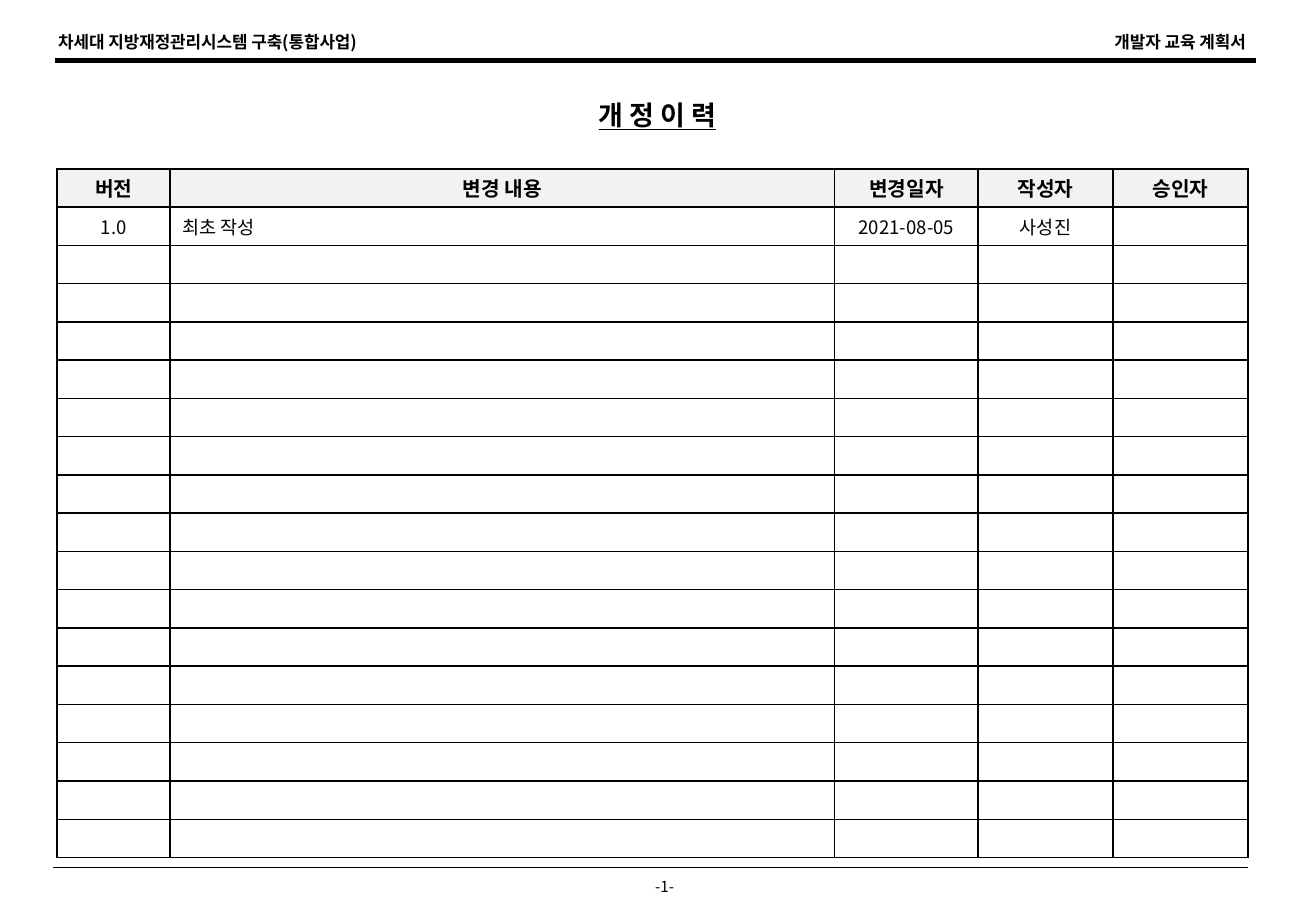
from lxml import etree
from pptx import Presentation
from pptx.dml.color import RGBColor
from pptx.enum.shapes import MSO_CONNECTOR
from pptx.enum.text import MSO_ANCHOR, MSO_AUTO_SIZE, PP_ALIGN
from pptx.oxml.ns import qn
from pptx.util import Inches, Pt

LEFT, CENTER, RIGHT = PP_ALIGN.LEFT, PP_ALIGN.CENTER, PP_ALIGN.RIGHT
MIDDLE = MSO_ANCHOR.MIDDLE
FONT = "Noto Sans CJK KR"
COLORS = {"ink": "000000", "header": "F2F2F2"}


def write(frame, text, size, align=CENTER, bold=False, underline=False):
    frame.text = text
    paragraph = frame.paragraphs[0]
    paragraph.alignment = align
    for run in paragraph.runs:
        font = run.font
        font.name, font.size = FONT, Pt(size)
        font.bold, font.underline = bold, underline
        font.color.rgb = RGBColor.from_string(COLORS["ink"])
        # Hangul takes the East Asian typeface
        east_asian = etree.SubElement(font._element, qn("a:ea"))
        east_asian.set("typeface", FONT)


def draw_border(cell, color, width):
    properties = cell._tc.get_or_add_tcPr()
    for position, side in enumerate(("a:lnL", "a:lnR", "a:lnT", "a:lnB")):
        line = etree.Element(qn(side), w=str(Pt(width)))
        fill = etree.SubElement(line, qn("a:solidFill"))
        etree.SubElement(fill, qn("a:srgbClr"), val=color)
        properties.insert(position, line)


prs = Presentation()
prs.slide_width, prs.slide_height = Inches(10.83), Inches(7.5)
slide = prs.slides.add_slide(prs.slide_layouts[5])

# Header and footer rules
for start, end, y, width in ((0.44, 10.27, 7.14, 0.75), (0.45, 10.34, 0.5, 2.75)):
    rule = slide.shapes.add_connector(
        MSO_CONNECTOR.STRAIGHT, Inches(start), Inches(y), Inches(end), Inches(y))
    rule.line.color.rgb = RGBColor.from_string(COLORS["ink"])
    rule.line.width = Pt(width)
    etree.SubElement(rule._element.spPr, qn("a:effectLst"))

# Running heads and page number
for text, left, top, width, height, size, align, bold in (
    ("차세대 지방재정관리시스템 구축(통합사업)", 0.38, 0.21, 2.93, 0.27, 10, LEFT, True),
    ("개발자 교육 계획서", 8.93, 0.21, 1.42, 0.27, 10, RIGHT, True),
    ("-1-", 5.24, 7.17, 0.46, 0.25, 9, CENTER, False),
):
    margin_text = slide.shapes.add_textbox(
        Inches(left), Inches(top), Inches(width), Inches(height))
    margin_text.text_frame.word_wrap = False
    write(margin_text.text_frame, text, size, align, bold)

# Title
title = slide.shapes.title
title.left, title.top = Inches(0.56), Inches(0.76)
title.width, title.height = Inches(9.7), Inches(0.37)
title.text_frame.auto_size = MSO_AUTO_SIZE.NONE
title.text_frame.vertical_anchor = MIDDLE
write(title.text_frame, "개 정 이 력", 16, bold=True, underline=True)

# Revision history
HEADINGS = ("버전", "변경 내용", "변경일자", "작성자", "승인자")
REVISIONS = [("1.0", "최초 작성", "2021-08-05", "사성진", "")]
COLUMN_WIDTHS = (0.93, 5.47, 1.18, 1.11, 1.11)
ROW_COUNT = 18
TABLE_HEIGHT = 5.67

history = slide.shapes.add_table(
    ROW_COUNT, len(HEADINGS), Inches(0.47), Inches(1.39),
    Inches(sum(COLUMN_WIDTHS)), Inches(TABLE_HEIGHT)).table
history.horz_banding = False
for column, width in zip(history.columns, COLUMN_WIDTHS):
    column.width = Inches(width)

entries = [HEADINGS, *REVISIONS]
entries += [("",) * len(HEADINGS)] * (ROW_COUNT - len(entries))
for row_index, entry in enumerate(entries):
    is_heading = row_index == 0
    history.rows[row_index].height = Inches(TABLE_HEIGHT / ROW_COUNT)
    for column_index, text in enumerate(entry):
        cell = history.cell(row_index, column_index)
        cell.vertical_anchor = MIDDLE
        cell.margin_top = cell.margin_bottom = Inches(0.02)
        if is_heading:
            cell.fill.solid()
            cell.fill.fore_color.rgb = RGBColor.from_string(COLORS["header"])
        else:
            cell.fill.background()
        draw_border(cell, COLORS["ink"], 1)
        align = LEFT if column_index == 1 and not is_heading else CENTER
        write(cell.text_frame, text, 12 if is_heading else 11, align, is_heading)
        if not text:
            # Small end mark keeps empty rows at their set height
            paragraph = cell.text_frame.paragraphs[0]._p
            etree.SubElement(paragraph, qn("a:endParaRPr"), sz="1100")

prs.save("out.pptx")
